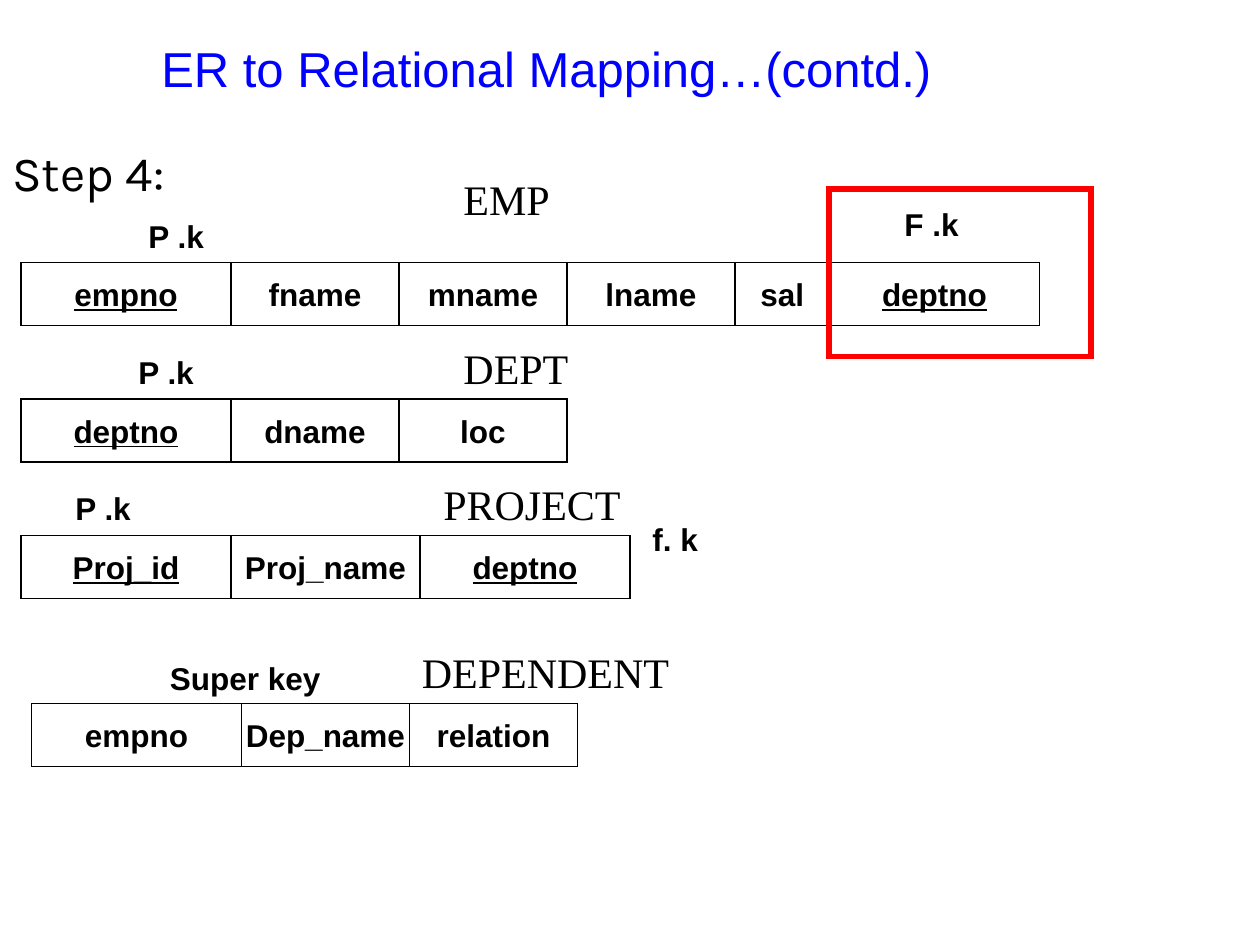
from lxml import etree
from pptx import Presentation
from pptx.dml.color import RGBColor
from pptx.enum.shapes import MSO_SHAPE
from pptx.enum.text import MSO_ANCHOR, MSO_AUTO_SIZE, PP_ALIGN
from pptx.oxml.ns import qn
from pptx.util import Inches, Pt

RECTANGLE = MSO_SHAPE.RECTANGLE
MIDDLE = MSO_ANCHOR.MIDDLE
NO_FIT = MSO_AUTO_SIZE.NONE
CENTER = PP_ALIGN.CENTER

COLORS = {"title": "0000FF", "text": "000000", "border": "000000", "highlight": "FF0000"}
SANS, SERIF, STEP_FONT = "Arial", "Times New Roman", "Karla"
TITLE_ONLY = 5
ROW_HEIGHT = 0.5
KEY, FIELD = 5 / 3, 4 / 3

RELATIONS = [
    (1 / 6, 25 / 12, [("empno", KEY, True), ("fname", FIELD, False), ("mname", FIELD, False),
                      ("lname", FIELD, False), ("sal", 0.75, False), ("deptno", KEY, True)]),
    (1 / 6, 19 / 6, [("deptno", KEY, True), ("dname", FIELD, False), ("loc", FIELD, False)]),
    (1 / 6, 4.25, [("Proj_id", KEY, True), ("Proj_name", 1.5, False), ("deptno", KEY, True)]),
    (0.25, 67 / 12, [("empno", KEY, False), ("Dep_name", FIELD, False),
                     ("relation", FIELD, False)]),
]
RELATION_NAMES = [
    ("EMP", 3.58, 1.33, 0.92),
    ("DEPT", 3.58, 2.67, 1.06),
    ("PROJECT", 3.42, 3.75, 2.43),
    ("DEPENDENT", 3.25, 5.08, 2.43),
]
KEY_LABELS = [
    ("P .k", 1.08, 1.67, 0.83),
    ("F .k", 7.08, 1.58, 0.83),
    ("P .k", 1, 2.75, 0.83),
    ("P .k", 0.5, 3.83, 0.83),
    ("f. k", 5.08, 4.08, 0.83),
    ("Super key", 1.25, 5.18, 2),
]


def write(frame, text, size, font_name, color="text", bold=False, underline=False, align=None):
    frame.text = text
    paragraph = frame.paragraphs[0]
    paragraph.alignment = align
    font = paragraph.font
    font.name = font_name
    font.size = Pt(size)
    font.bold = bold
    font.underline = underline
    font.color.rgb = RGBColor.from_string(COLORS[color])


def add_title(slide, text):
    title = slide.shapes.title
    title.left, title.top = Inches(0.25), Inches(0.25)
    title.width, title.height = Inches(8.17), Inches(0.57)
    frame = title.text_frame
    frame.auto_size = NO_FIT
    frame.vertical_anchor = MIDDLE
    write(frame, text, 28, SANS, "title", align=CENTER)


def add_label(slide, text, left, top, width, height, size, font_name, bold=False):
    label = slide.shapes.add_textbox(Inches(left), Inches(top), Inches(width), Inches(height))
    label.text_frame.word_wrap = True
    write(label.text_frame, text, size, font_name, bold=bold)


def add_outline(slide, left, top, width, height, color, weight):
    outline = slide.shapes.add_shape(
        RECTANGLE, Inches(left), Inches(top), Inches(width), Inches(height))
    outline.shadow.inherit = False
    outline.fill.background()
    outline.line.color.rgb = RGBColor.from_string(COLORS[color])
    outline.line.width = Pt(weight)
    border = outline.element.spPr.find(qn("a:ln"))
    etree.SubElement(border, qn("a:miter"), lim="800000")
    return outline


def add_relation(slide, left, top, attributes):
    for attribute, width, underlined in attributes:
        cell = add_outline(slide, left, top, width, ROW_HEIGHT, "border", 0.75)
        frame = cell.text_frame
        frame.word_wrap = False
        frame.vertical_anchor = MIDDLE
        write(frame, attribute, 18, SANS, bold=True, underline=underlined, align=CENTER)
        left += width


def main():
    presentation = Presentation()
    presentation.slide_width, presentation.slide_height = Inches(10), Inches(7.5)
    slide = presentation.slides.add_slide(presentation.slide_layouts[TITLE_ONLY])

    add_title(slide, "ER to Relational Mapping…(contd.)")
    add_label(slide, "Step 4:", 0, 1.08, 1.67, 0.56, 28, STEP_FONT)
    for name, left, top, width in RELATION_NAMES:
        add_label(slide, name, left, top, width, 0.5, 24, SERIF)
    for left, top, attributes in RELATIONS:
        add_relation(slide, left, top, attributes)
    for key, left, top, width in KEY_LABELS:
        add_label(slide, key, left, top, width, 0.4, 18, SANS, bold=True)
    add_outline(slide, 6.58, 1.5, 2.08, 1.33, "highlight", 3)

    presentation.save("out.pptx")


if __name__ == "__main__":
    main()
